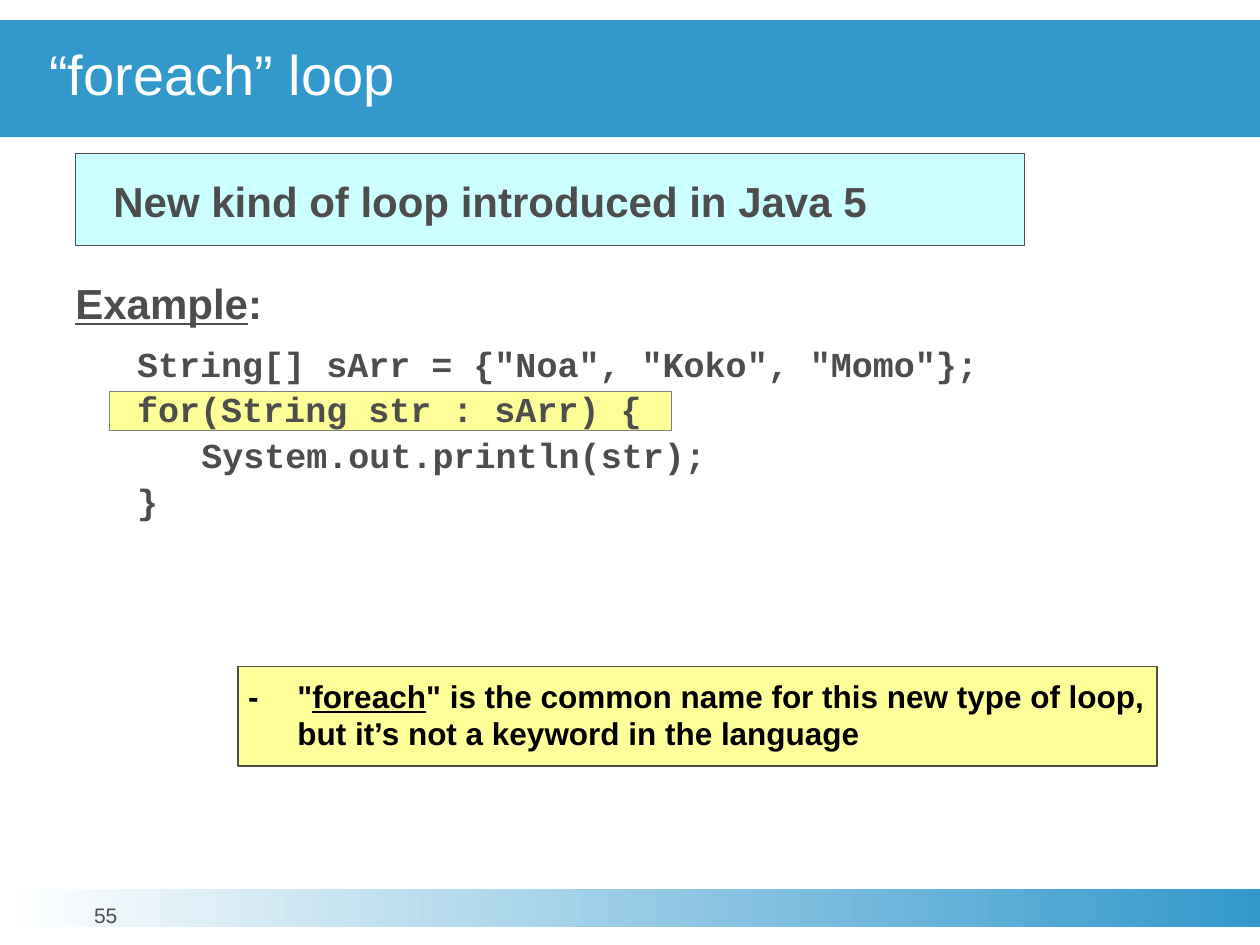
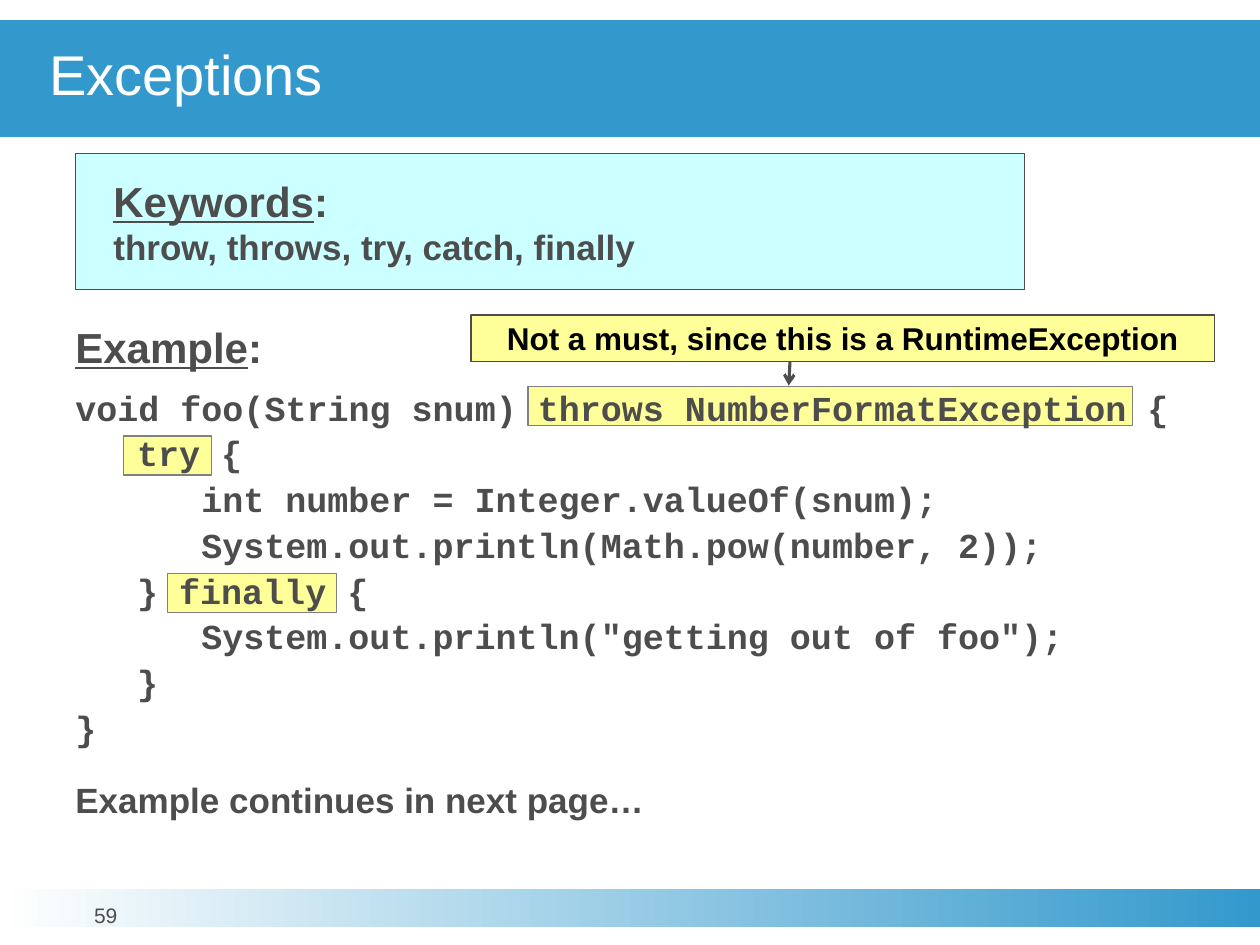
from dataclasses import dataclass

import pptx
import pptx.dml.color
import pptx.enum.shapes
import pptx.enum.text
import pptx.oxml
import pptx.util
from pptx.oxml.ns import qn

Align = pptx.enum.text.PP_ALIGN
Anchor = pptx.enum.text.MSO_ANCHOR


@dataclass(frozen=True)
class Theme:
    blue: str = "3399CC"
    white: str = "FFFFFF"
    black: str = "000000"
    text: str = "4D4D4D"
    cyan: str = "CCFFFF"
    yellow: str = "FFFF99"
    grey: str = "808080"
    sans: str = "Arial"
    mono: str = "Courier New"
    title: int = 32
    heading: int = 24
    body: int = 20
    note: int = 18
    footer: int = 12


THEME = Theme()
CELL = pptx.util.Inches(0.1)
COLUMNS, ROWS = 100, 75
CODE_INDENTS = (0, 4.9, 10)
CODE_START_GAP, CODE_LINE_GAP, CLOSING_GAP = 8.4, 2.1, 17.2
HIGHLIGHT_ROWS = 3.1
NOTE_INSET = 0.8


def cells(count):
    return round(count * CELL)


def color(value):
    return pptx.dml.color.RGBColor.from_string(value)


def add_box(slide, area, fill=None, line=None, line_width=0.75):
    shape = slide.shapes.add_shape(
        pptx.enum.shapes.MSO_SHAPE.RECTANGLE, *map(cells, area))
    shape.shadow.inherit = False
    if fill:
        shape.fill.solid()
        shape.fill.fore_color.rgb = color(fill)
    if line:
        shape.line.color.rgb = color(line)
        shape.line.width = pptx.util.Pt(line_width)
    else:
        shape.line.fill.background()
    return shape


def prepare_text(shape, insets=(0, 0, 0, 0), anchor=Anchor.TOP):
    frame = shape.text_frame
    frame.word_wrap = True
    frame.vertical_anchor = anchor
    frame.margin_left, frame.margin_top, frame.margin_right, frame.margin_bottom = map(
        cells, insets)
    return frame


def next_paragraph(frame, before=0, align=Align.LEFT, left=0, hanging=0):
    paragraph = frame.paragraphs[0]
    if paragraph.runs:
        paragraph = frame.add_paragraph()
        paragraph.space_before = pptx.util.Pt(before)
    paragraph.alignment = align
    properties = paragraph._p.get_or_add_pPr()
    properties.set("marL", str(cells(left)))
    properties.set("indent", str(cells(-hanging)))
    return paragraph


def add_run(paragraph, text, size, ink=THEME.text, font=THEME.sans,
            bold=True, underline=False):
    run = paragraph.add_run()
    run.text = text
    run.font.name = font
    run.font.size = pptx.util.Pt(size)
    run.font.bold = bold
    run.font.underline = underline
    run.font.color.rgb = color(ink)


def add_footer(slide, number):
    band = add_box(slide, (0, 70.6, COLUMNS, 3))
    band.fill.gradient()
    band.fill.gradient_angle = 0
    for stop, ink in zip(band.fill.gradient_stops, (THEME.white, THEME.blue)):
        stop.color.rgb = color(ink)
    label = slide.shapes.add_textbox(*map(cells, (3.1, 71.8, 10.6, 3.1)))
    paragraph = next_paragraph(prepare_text(label), align=Align.CENTER)
    paragraph.line_spacing = pptx.util.Pt(13)
    add_run(paragraph, number, THEME.footer, bold=False)


def add_title(slide, title):
    band = add_box(slide, (0, 1.6, COLUMNS, 9.3), THEME.blue)
    paragraph = next_paragraph(prepare_text(band, anchor=Anchor.MIDDLE), left=3.9)
    paragraph.line_spacing = 0.85
    add_run(paragraph, title, THEME.title, THEME.white, bold=False)


def start_slide(presentation, title, number):
    slide = presentation.slides.add_slide(presentation.slide_layouts[6])
    add_footer(slide, number)
    add_title(slide, title)
    return slide


def add_topic_box(slide, height):
    box = add_box(slide, (6, 12.2, 75.3, height), THEME.cyan, THEME.text)
    return prepare_text(box, insets=(3, 1.7, 0, 0))


def add_heading(paragraph, word):
    add_run(paragraph, word, THEME.heading, underline=True)
    add_run(paragraph, ":", THEME.heading)


def add_highlights(slide, places):
    for left, top, width in places:
        add_box(slide, (left, top, width, HIGHLIGHT_ROWS), THEME.yellow, THEME.grey)


def add_example(slide, top, height, code):
    box = slide.shapes.add_textbox(*map(cells, (5, top, 90, height)))
    frame = prepare_text(box, insets=(1, 0.5, 1, 0.5))
    add_heading(next_paragraph(frame), "Example")
    for index, (level, text) in enumerate(code):
        before = CODE_LINE_GAP if index else CODE_START_GAP
        paragraph = next_paragraph(frame, before, left=CODE_INDENTS[level])
        add_run(paragraph, text, THEME.body, font=THEME.mono)
    return frame


def add_note(slide, area, anchor=Anchor.TOP):
    box = add_box(slide, area, THEME.yellow, THEME.text, 1)
    return prepare_text(box, (NOTE_INSET,) * 4, anchor)


def add_arrow(slide, start, end):
    connector = slide.shapes.add_connector(
        pptx.enum.shapes.MSO_CONNECTOR.STRAIGHT, *map(cells, start + end))
    connector.line.color.rgb = color(THEME.text)
    connector.line.width = pptx.util.Pt(1.75)
    line = connector.line._get_or_add_ln()
    line.append(line.makeelement(qn("a:tailEnd"), {"type": "arrow"}))
    properties = connector._element.spPr
    properties.append(properties.makeelement(qn("a:effectLst"), {}))


def build_foreach(presentation):
    slide = start_slide(presentation, "“foreach” loop", "55")
    add_highlights(slide, [(8.7, 31.1, 44.6)])
    add_example(slide, 21.5, 35.5, [
        (1, 'String[] sArr = {"Noa", "Koko", "Momo"};'),
        (1, "for(String str : sArr) {"),
        (2, "System.out.println(str);"),
        (1, "}"),
    ])
    topic = next_paragraph(add_topic_box(slide, 7.3))
    add_run(topic, "New kind of loop introduced in Java 5", THEME.heading)

    note = next_paragraph(add_note(slide, (18.9, 52.9, 72.9, 7.9)),
                          left=3.9, hanging=3.9)
    for text, underline in (
        ('-\t"', False),
        ("foreach", True),
        ('" is the common name for this new type of loop, '
         "but it’s not a keyword in the language", False),
    ):
        add_run(note, text, THEME.note, THEME.black, underline=underline)


def build_exceptions(presentation):
    slide = start_slide(presentation, "Exceptions", "59")
    topic = add_topic_box(slide, 10.8)
    add_heading(next_paragraph(topic), "Keywords")
    add_run(next_paragraph(topic), "throw, throws, try, catch, finally", THEME.body)

    add_highlights(slide, [(41.9, 30.7, 48), (13.3, 45.5, 13.4), (9.8, 34.6, 7)])
    example = add_example(slide, 25, 41.8, [
        (0, "void foo(String snum) throws NumberFormatException {"),
        (1, "try {"),
        (2, "int number = Integer.valueOf(snum);"),
        (2, "System.out.println(Math.pow(number, 2));"),
        (1, "} finally {"),
        (2, 'System.out.println("getting out of foo");'),
        (1, "}"),
        (0, "}"),
    ])
    add_run(next_paragraph(example, CLOSING_GAP),
            "Example continues in next page…", THEME.body)

    note = add_note(slide, (37.4, 25, 59, 3.7), Anchor.MIDDLE)
    add_run(next_paragraph(note, align=Align.CENTER),
            "Not a must, since this is a RuntimeException", THEME.note, THEME.black)
    add_arrow(slide, (62.7, 28.7), (62.6, 30.6))


def main():
    presentation = pptx.Presentation()
    presentation.slide_width = cells(COLUMNS)
    presentation.slide_height = cells(ROWS)
    build_foreach(presentation)
    build_exceptions(presentation)
    presentation.save("out.pptx")


if __name__ == "__main__":
    main()
